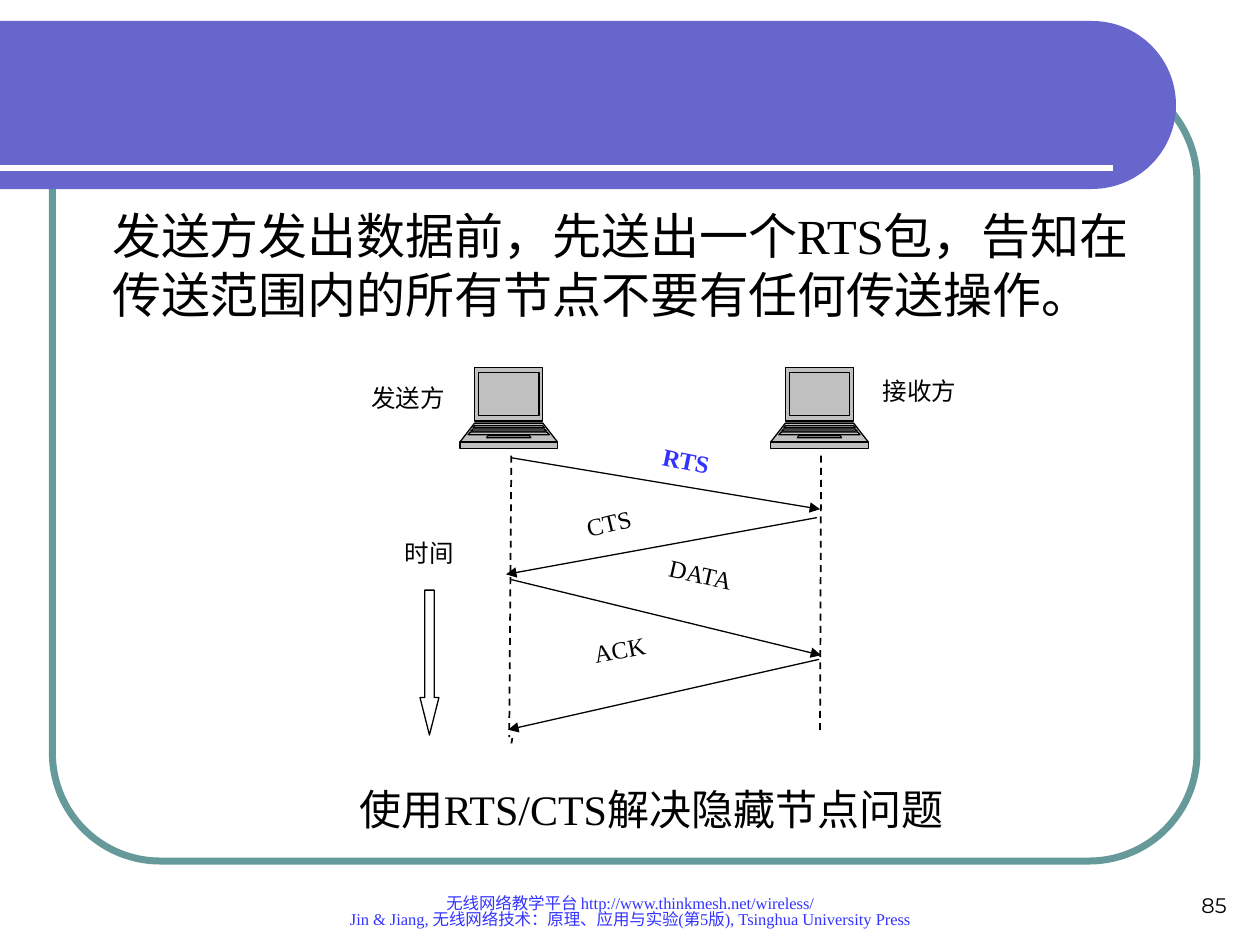
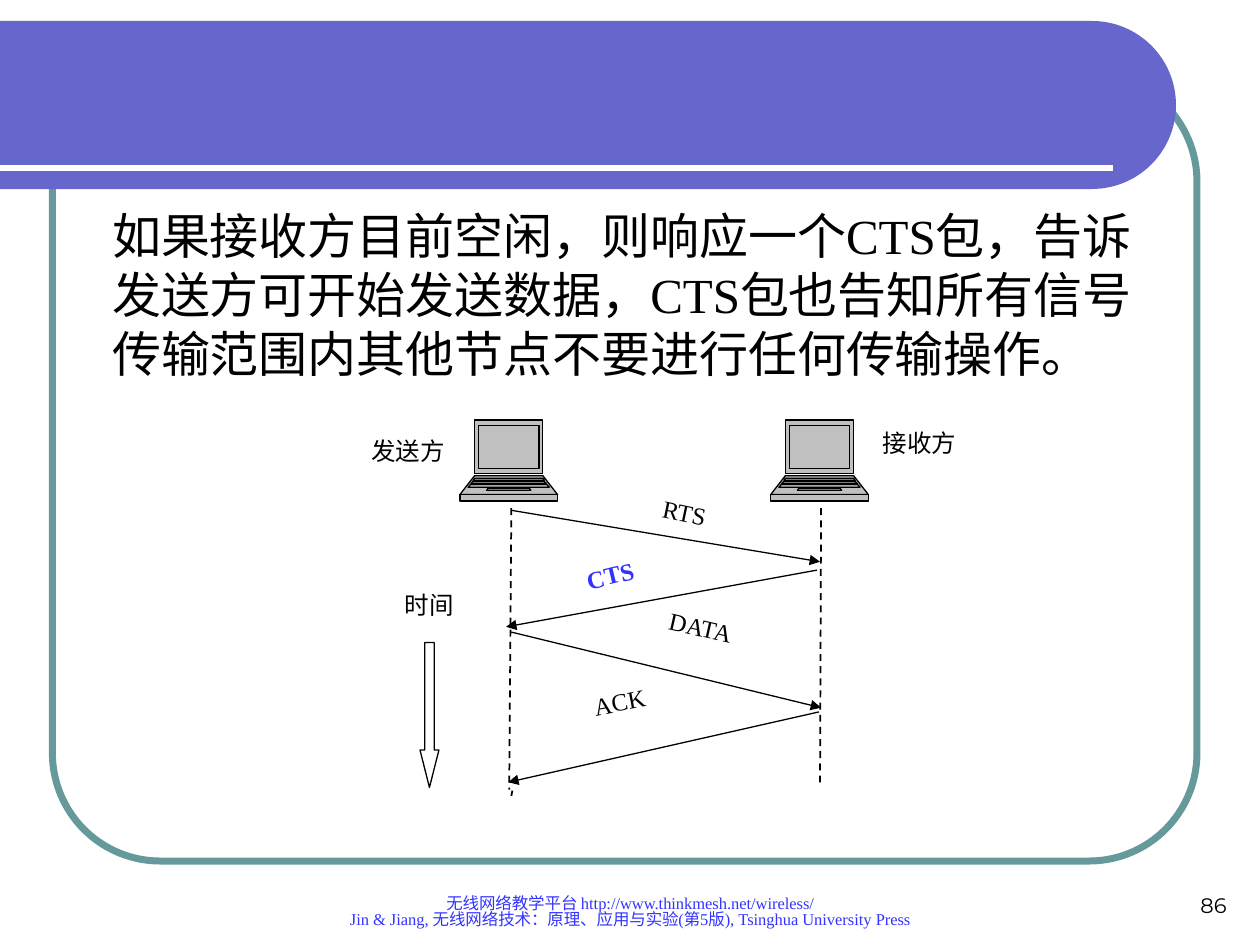
import math

import pptx
import pptx.dml.color
import pptx.enum.dml
import pptx.enum.shapes
import pptx.enum.text
import pptx.oxml.ns
import pptx.util
from lxml import etree

COLUMNS, ROWS = 120, 90
COLORS = {
    "band": "6666CC",
    "frame": "669999",
    "accent": "3333FF",
    "metal": "C0C0C0",
    "ink": "000000",
    "paper": "FFFFFF",
}
SERIF, SANS = "Times New Roman", "Montserrat"
ALIGN = pptx.enum.text.PP_ALIGN
ANCHOR = pptx.enum.text.MSO_ANCHOR
SHAPE = pptx.enum.shapes.MSO_SHAPE

FOOTER = [
    "无线网络教学平台 http://www.thinkmesh.net/wireless/",
    "Jin & Jiang, 无线网络技术：原理、应用与实验(第5版), Tsinghua University Press",
]

# Laptop parts: top row, bottom row, half width at top, half width at bottom
LAPTOP_PARTS = [
    (0, 5.1, 3.25, 3.25),
    (5.3, 7.1, 3.25, 4.65),
    (7.1, 7.7, 4.65, 4.65),
    (0.5, 4.6, 2.88, 2.88),
    (5.55, 5.75, 3.25, 3.4),
    (6.5, 6.7, 1.97, 2.1),
    (5.87, 6.05, 3.4, 3.6),
    (6.15, 6.4, 3.63, 3.87),
]
LAPTOP_CENTERS = [48.45, 78.05]

# Diagram lines: from column, row to column, row, below the diagram's top
LIFELINES = [
    (48.7, 8.4, 48.5, 35.2),
    (78.2, 8.4, 78.1, 34.7),
    (48.8, 35.3, 48.7, 35.8),
]
MESSAGES = [
    (48.7, 8.6, 78.1, 13.5),
    (77.8, 14.3, 48.2, 19.7),
    (48.7, 20.2, 78.2, 27.4),
    (78, 27.8, 48.4, 34.5),
]

# Diagram labels: column, row, width, height, and rotation for packets
PARTY_LABELS = {
    "发送方": (34.1, 1.5, 9.5, 4.3),
    "接收方": (82.8, 0.8, 9.6, 4.3),
    "时间": (36.5, 16.2, 8.8, 5.4),
}
PACKET_LABELS = {
    "CTS": (55.9, 13.1, 6.6, 3.7, -13.7),
    "RTS": (62.9, 7.6, 6.2, 4.8, 11.8),
    "DATA": (63.6, 18.4, 7.2, 3.8, 12.8),
    "ACK": (56.6, 25.2, 7.3, 3.8, -10.7),
}

SLIDES = [
    {
        "number": 85,
        "top": 35,
        "packet": "RTS",
        "body": "发送方发出数据前，先送出一个RTS包，告知在传送范围内的所有节点不要有任何传送操作。",
        "caption": "使用RTS/CTS解决隐藏节点问题",
    },
    {
        "number": 86,
        "top": 40,
        "packet": "CTS",
        "body": "如果接收方目前空闲，则响应一个CTS包，告诉发送方可开始发送数据，"
                "CTS包也告知所有信号传输范围内其他节点不要进行任何传输操作。",
        "caption": None,
    },
]


def color(name):
    return pptx.dml.color.RGBColor.from_string(COLORS[name])


def apply(target, values):
    for name, value in values.items():
        setattr(target, name, value)


class Painter:
    """Holds the deck, its grid and the current slide."""

    def __init__(self):
        self.deck = pptx.Presentation()
        self.deck.slide_width = pptx.util.Inches(10)
        self.deck.slide_height = pptx.util.Inches(7.5)
        self.page = None

    def new_page(self):
        self.page = self.deck.slides.add_slide(self.deck.slide_layouts[6])

    def grid(self, *places):
        """Turn alternating columns and rows into lengths."""
        cells = (self.deck.slide_width / COLUMNS, self.deck.slide_height / ROWS)
        return [round(place * cells[i % 2]) for i, place in enumerate(places)]

    def paint(self, shape, fill=None, line=None, width=0.75):
        shape.shadow.inherit = False
        if fill:
            shape.fill.solid()
            shape.fill.fore_color.rgb = color(fill)
        else:
            shape.fill.background()
        if line:
            shape.line.color.rgb = color(line)
            shape.line.width = pptx.util.Pt(width)
        else:
            shape.line.fill.background()

    def shape(self, kind, place, adjustments, **style):
        shape = self.page.shapes.add_shape(kind, *self.grid(*place))
        for i, value in enumerate(adjustments):
            shape.adjustments[i] = value
        self.paint(shape, **style)

    def outline(self, points, **style):
        corners = [self.grid(*point) for point in points]
        builder = self.page.shapes.build_freeform(*corners[0])
        builder.add_line_segments(corners[1:], close=True)
        self.paint(builder.convert_to_shape(), **style)

    def line(self, ends, ink="ink", width=0.75, dashed=False, arrow=False):
        straight = pptx.enum.shapes.MSO_CONNECTOR.STRAIGHT
        connector = self.page.shapes.add_connector(straight, *self.grid(*ends))
        connector.line.color.rgb = color(ink)
        connector.line.width = pptx.util.Pt(width)
        if dashed:
            connector.line.dash_style = pptx.enum.dml.MSO_LINE.DASH
        qn = pptx.oxml.ns.qn
        properties = connector.element.find(qn("p:spPr"))
        if arrow:
            etree.SubElement(properties.find(qn("a:ln")), qn("a:tailEnd"), type="triangle")
        etree.SubElement(properties, qn("a:effectLst"))

    def text(self, lines, place, size, ink="ink", font=SERIF, bold=False, fill=None,
             rotation=0, inset=True, wrap=True, anchor=ANCHOR.TOP,
             align=ALIGN.LEFT, spacing=None, indent=0):
        box = self.page.shapes.add_textbox(*self.grid(*place))
        box.rotation = rotation
        if fill:
            self.paint(box, fill)
        frame = box.text_frame
        side, edge = self.grid(1.2, 0.6) if inset else (0, 0)
        apply(frame, {
            "margin_left": side, "margin_right": side,
            "margin_top": edge, "margin_bottom": edge,
            "word_wrap": wrap, "vertical_anchor": anchor,
        })
        for i, line in enumerate(lines):
            para = frame.add_paragraph() if i else frame.paragraphs[0]
            apply(para, {"alignment": align, "line_spacing": spacing})
            if indent:
                properties = para._p.get_or_add_pPr()
                properties.set("marL", str(self.grid(indent)[0]))
                properties.set("indent", "0")
            span = para.add_run()
            span.text = line
            apply(span.font, {"name": font, "size": pptx.util.Pt(size), "bold": bold})
            span.font.color.rgb = color(ink)

    # Shared background, page number and footer
    def backdrop(self, number):
        self.shape(SHAPE.ROUNDED_RECTANGLE, (5, 7, 109, 75), [0.137],
                   line="frame", width=4)
        angles = [math.radians(degree) for degree in range(-90, 91, 3)]
        cap = [(104 + 8 * math.cos(a), 10 + 8 * math.sin(a)) for a in angles]
        self.outline([(0, 2), *cap, (0, 18)], fill="band")
        self.line((0, 16, 106, 16), ink="paper", width=3)
        self.text([str(number)], (90, 82, 28, 6), 12, font=SANS,
                  anchor=ANCHOR.BOTTOM, align=ALIGN.RIGHT)
        self.text(FOOTER, (10, 84, 100, 5), 9.4, ink="accent",
                  anchor=ANCHOR.BOTTOM, align=ALIGN.CENTER, spacing=0.8)

    def laptop(self, center, top):
        for upper, lower, narrow, wide in LAPTOP_PARTS:
            self.outline([
                (center - narrow, top + upper), (center + narrow, top + upper),
                (center + wide, top + lower), (center - wide, top + lower),
            ], fill="metal", line="ink")

    # Handshake between sender and receiver
    def handshake(self, top, current_packet):
        for center in LAPTOP_CENTERS:
            self.laptop(center, top)
        for label, (left, row, width, height) in PARTY_LABELS.items():
            self.text([label], (left, top + row, width, height), 14,
                      fill="paper", inset=False, align=ALIGN.CENTER)
        for x1, y1, x2, y2 in LIFELINES:
            self.line((x1, top + y1, x2, top + y2), width=1, dashed=True)
        for x1, y1, x2, y2 in MESSAGES:
            self.line((x1, top + y1, x2, top + y2), arrow=True)
        self.shape(SHAPE.DOWN_ARROW, (40, top + 21.2, 1.8, 13.8), [0.5, 1.98],
                   fill="paper", line="ink")
        for label, (left, row, width, height, rotation) in PACKET_LABELS.items():
            current = label == current_packet
            self.text([label], (left, top + row, width, height), 14,
                      ink="accent" if current else "ink", bold=current,
                      rotation=rotation, inset=False)


def main():
    painter = Painter()
    for content in SLIDES:
        painter.new_page()
        painter.backdrop(content["number"])
        painter.handshake(content["top"], content["packet"])
        if content["caption"]:
            painter.text([content["caption"]], (33.1, 74, 60.1, 6), 24, wrap=False)
        painter.text([content["body"]], (5, 19, 107, 19), 28, indent=4.5)
    painter.deck.save("out.pptx")


if __name__ == "__main__":
    main()
